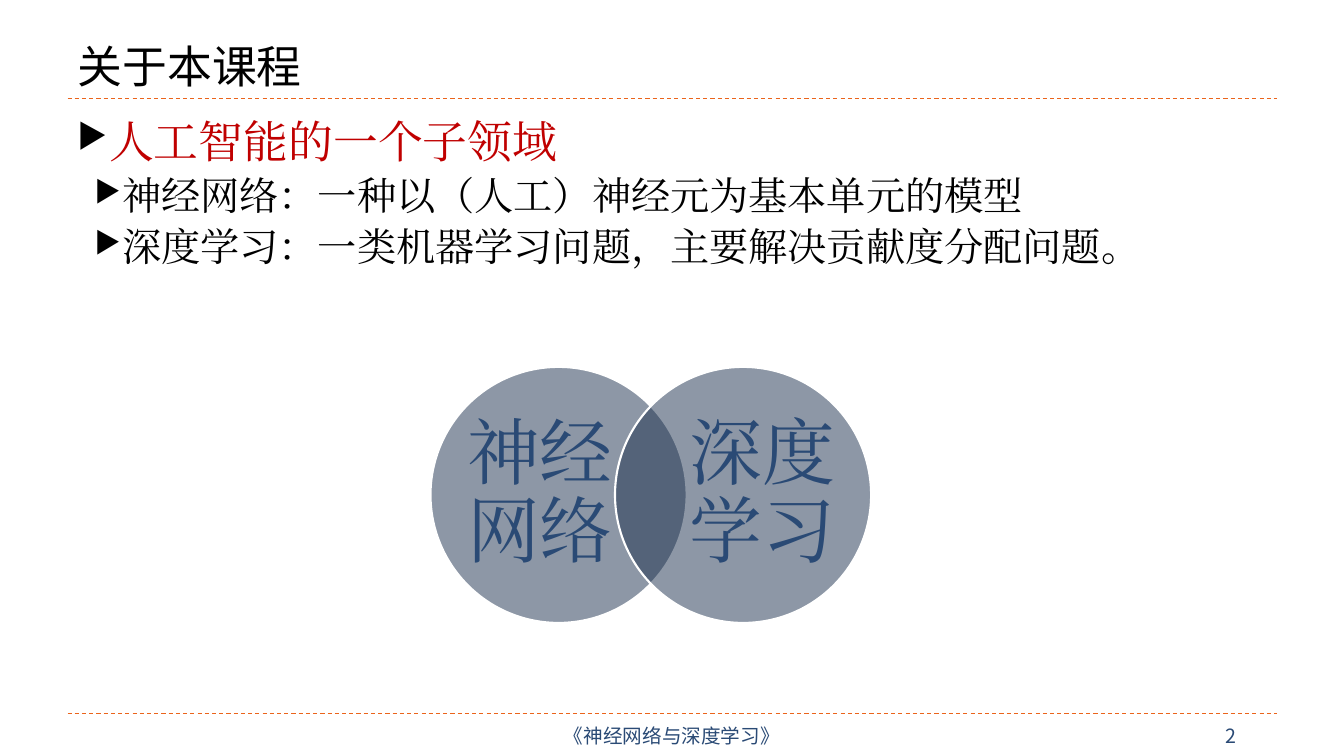
import pptx
import pptx.dml.color
import pptx.enum.dml
import pptx.enum.shapes
import pptx.enum.text
import pptx.oxml
import pptx.oxml.ns
import pptx.util

ALIGN = pptx.enum.text.PP_ALIGN
ANCHOR = pptx.enum.text.MSO_ANCHOR
qn = pptx.oxml.ns.qn
NS = pptx.oxml.ns.nsdecls("a")


def px(n):
    return pptx.util.Emu(n * 9144)


def rgb(value):
    return pptx.dml.color.RGBColor.from_string(value)


def element(xml):
    return pptx.oxml.parse_xml(xml.replace("/>", f" {NS}/>", 1))


class Deck:
    BLACK, NAVY, RED = "000000", "2A4A75", "C00000"
    ORANGE, DISC, WHITE = "EB641B", "1C314E", "FFFFFF"
    SANS, SERIF, HEAD = "Noto Sans CJK SC", "Times New Roman", "Roboto"

    def __init__(self):
        self.prs = pptx.Presentation()
        self.prs.slide_width, self.prs.slide_height = px(1333), px(750)
        self.s = self.prs.slides.add_slide(self.prs.slide_layouts[5])

    def run(self, p, text, size, font, color):
        r = p.add_run()
        r.text = text
        r.font.size = pptx.util.Pt(size)
        r.font.name = font
        r.font.color.rgb = rgb(color)
        r.font._element.append(element(f'<a:ea typeface="{font}"/>'))

    def frame(self, sp, anchor, inset=(10, 5)):
        tf = sp.text_frame
        tf.word_wrap = True
        tf.auto_size = pptx.enum.text.MSO_AUTO_SIZE.NONE
        tf.vertical_anchor = anchor
        tf.margin_left = tf.margin_right = px(inset[0])
        tf.margin_top = tf.margin_bottom = px(inset[1])
        return tf

    def title(self, text, x, y, w, h):
        sp = self.s.shapes.title
        sp.left, sp.top, sp.width, sp.height = map(px, (x, y, w, h))
        p = self.frame(sp, ANCHOR.BOTTOM).paragraphs[0]
        p.alignment = ALIGN.LEFT
        self.run(p, text, 32, self.HEAD, self.BLACK)

    def label(self, text, x, y, w, h, size, font, spacing=1.0):
        sp = self.s.shapes.add_textbox(*map(px, (x, y, w, h)))
        p = self.frame(sp, ANCHOR.MIDDLE, (0, 0)).paragraphs[0]
        p.alignment = ALIGN.CENTER
        p.line_spacing = spacing
        self.run(p, text, size, font, self.NAVY)

    def bullets(self, items, x, y, w, h):
        sp = self.s.shapes.add_textbox(*map(px, (x, y, w, h)))
        tf = self.frame(sp, ANCHOR.TOP)
        for i, (level, text, size, color) in enumerate(items):
            p = tf.add_paragraph() if i else tf.paragraphs[0]
            p.level = level
            pPr = p._p.get_or_add_pPr()
            pPr.set("marL", str(px(17 * (level + 1))))
            pPr.set("indent", str(px(-17)))
            buClr = element("<a:buClr/>")
            buClr.append(element(f'<a:srgbClr val="{self.BLACK}"/>'))
            pPr.append(buClr)
            pPr.append(element('<a:buSzPct val="76000"/>'))
            pPr.append(element('<a:buChar char="▶"/>'))
            if i:
                p.space_before = pptx.util.Pt(2.8)
            self.run(p, text, size, self.SERIF, color)

    def rule(self, y):
        c = self.s.shapes.add_connector(
            pptx.enum.shapes.MSO_CONNECTOR.STRAIGHT, px(67), px(y), px(1267), px(y))
        c.line.color.rgb = rgb(self.ORANGE)
        c.line.width = pptx.util.Pt(0.75)
        c.line.dash_style = pptx.enum.dml.MSO_LINE.DASH
        c._element.spPr.append(element("<a:effectLst/>"))

    def disc(self, x, y, d):
        sp = self.s.shapes.add_shape(
            pptx.enum.shapes.MSO_SHAPE.OVAL, px(x), px(y), px(d), px(d))
        sp.shadow.inherit = False
        sp.fill.solid()
        sp.fill.fore_color.rgb = rgb(self.DISC)
        fill = sp._element.spPr.find(qn("a:solidFill"))
        fill[0].append(element('<a:alpha val="50000"/>'))
        sp.line.color.rgb = rgb(self.WHITE)
        sp.line.width = pptx.util.Pt(1.5)


def main():
    deck = Deck()
    for y in (98, 708):
        deck.rule(y)
    deck.label("《神经网络与深度学习》", 450, 710, 433, 40, 14, deck.SANS)
    deck.label("2", 1200, 713, 41, 34, 14, deck.SANS)
    deck.title("关于本课程", 67, 17, 1200, 80)
    deck.bullets([
        (0, "人工智能的一个子领域", 32, deck.RED),
        (1, "神经网络：一种以（人工）神经元为基本单元的模型", 28, deck.BLACK),
        (1, "深度学习：一类机器学习问题，主要解决贡献度分配问题。", 28, deck.BLACK),
    ], 67, 108, 1200, 592)
    for text, disc_x, text_x in (("神经网络", 427, 462), ("深度学习", 610, 683)):
        deck.disc(disc_x, 364, 254)
        deck.label(text, text_x, 394, 147, 194, 52, deck.SERIF, 0.9)
    deck.prs.save("out.pptx")


if __name__ == "__main__":
    main()
